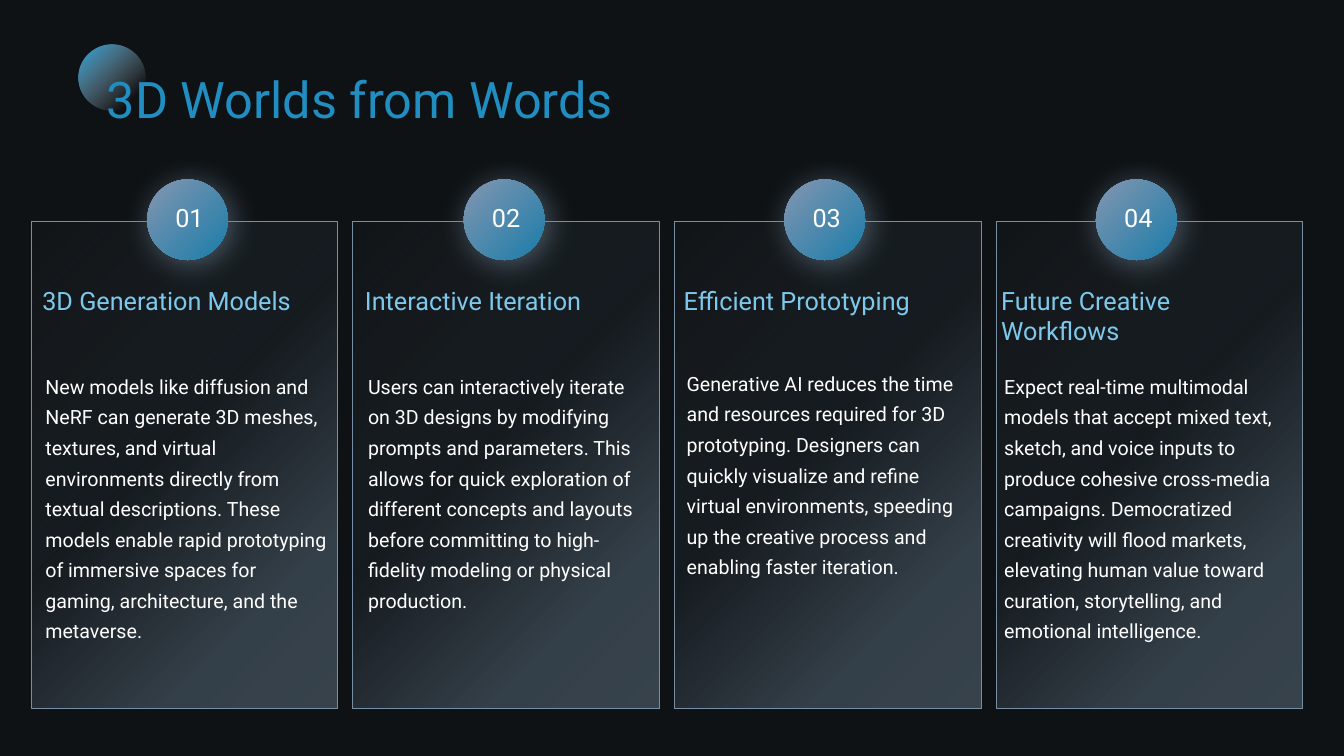
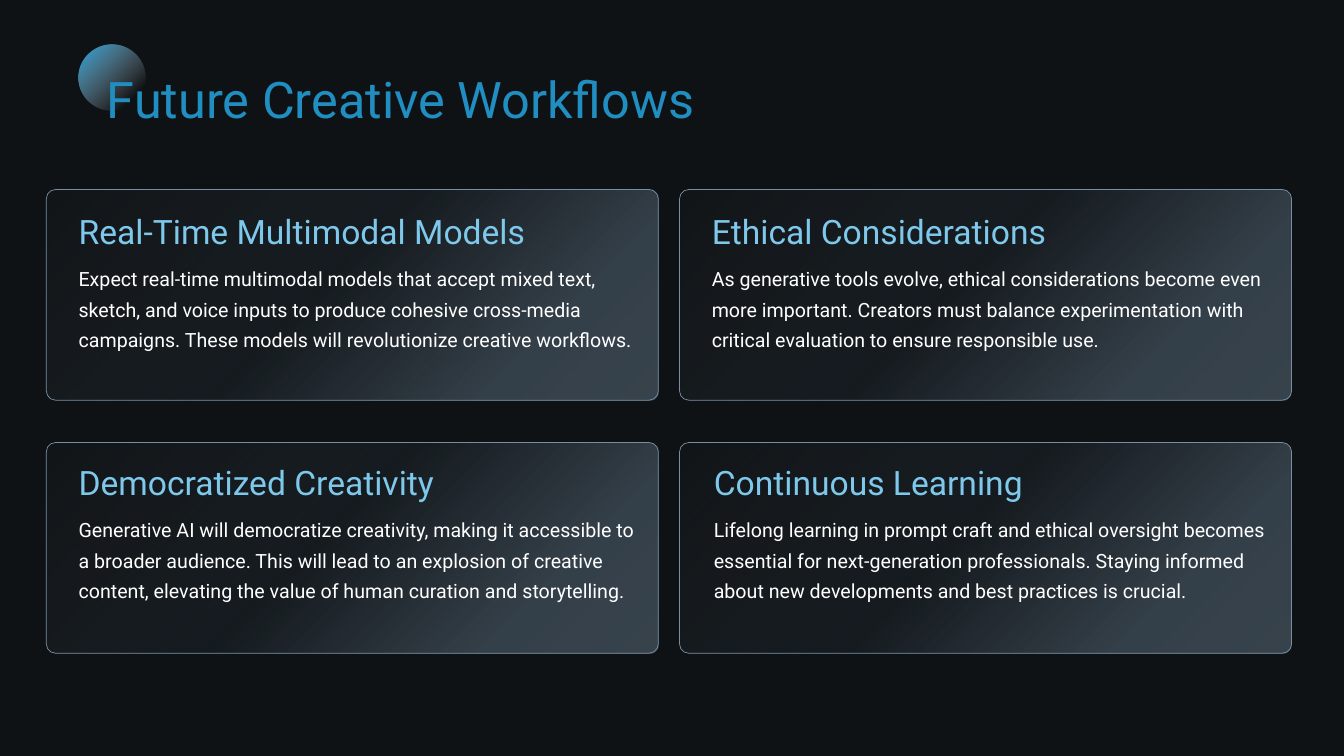
from lxml import etree
from pptx import Presentation
from pptx.dml.color import RGBColor
from pptx.enum.shapes import MSO_SHAPE as SHAPE
from pptx.enum.text import MSO_ANCHOR as ANCHOR, PP_ALIGN as ALIGN
from pptx.oxml.ns import qn
from pptx.util import Pt

PX = 9144  # 100 px to the inch
FONT = "Roboto"

BACKGROUND = RGBColor(0x0E, 0x12, 0x15)
TITLE_BLUE = RGBColor(0x21, 0x8E, 0xC1)
HEADING_BLUE = RGBColor(0x7E, 0xC9, 0xEB)
WHITE = RGBColor(0xFF, 0xFF, 0xFF)
SLATE = RGBColor(0x78, 0x8F, 0xA3)
CHARCOAL = RGBColor(0x23, 0x23, 0x22)
STEEL = RGBColor(0x84, 0x96, 0xB0)
DEEP_BLUE = RGBColor(0x1A, 0x7C, 0xAA)
SKY_BLUE = RGBColor(0x28, 0xA4, 0xDE)
MIST = RGBColor(0xC5, 0xC9, 0xCE)

# Gradient stops: position %, colour, opacity %
CARD_STOPS = [(0, SLATE, 39), (22, SLATE, 36), (54, SLATE, 7), (100, CHARCOAL, 15)]
BADGE_STOPS = [(0, STEEL, 100), (100, DEEP_BLUE, 100)]
ORB_STOPS = [(0, SKY_BLUE, 100), (81, MIST, 0), (100, MIST, 0)]

# Badge left, text left, body top, heading, body
COLUMNS = [
    (146, 42, 360, "3D Generation Models",
     "New models like diffusion and NeRF can generate 3D meshes, textures, and "
     "virtual environments directly from textual descriptions. These models enable "
     "rapid prototyping of immersive spaces for gaming, architecture, and the "
     "metaverse."),
    (460, 362, 360, "Interactive Iteration",
     "Users can interactively iterate on 3D designs by modifying prompts and "
     "parameters. This allows for quick exploration of different concepts and "
     "layouts before committing to high-fidelity modeling or physical production."),
    (778, 678, 357, "Efficient Prototyping",
     "Generative AI reduces the time and resources required for 3D prototyping. "
     "Designers can quickly visualize and refine virtual environments, speeding up "
     "the creative process and enabling faster iteration."),
    (1087, 993, 360, "Future Creative Workflows",
     "Expect real-time multimodal models that accept mixed text, sketch, and voice "
     "inputs to produce cohesive cross-media campaigns. Democratized creativity "
     "will flood markets, elevating human value toward curation, storytelling, and "
     "emotional intelligence."),
]

# Text left, heading, body; row by row
WORKFLOWS = [
    (78, "Real-Time Multimodal Models",
     "Expect real-time multimodal models that accept mixed text, sketch, and voice "
     "inputs to produce cohesive cross-media campaigns. These models will "
     "revolutionize creative workflows."),
    (706, "Ethical Considerations",
     "As generative tools evolve, ethical considerations become even more "
     "important. Creators must balance experimentation with critical evaluation to "
     "ensure responsible use."),
    (78, "Democratized Creativity",
     "Generative AI will democratize creativity, making it accessible to a broader "
     "audience. This will lead to an explosion of creative content, elevating the "
     "value of human curation and storytelling."),
    (708, "Continuous Learning",
     "Lifelong learning in prompt craft and ethical oversight becomes essential for "
     "next-generation professionals. Staying informed about new developments and "
     "best practices is crucial."),
]


def px(*lengths):
    return [n * PX for n in lengths]


def add_color(parent, color, opacity):
    el = etree.SubElement(parent, qn("a:srgbClr"), val=str(color))
    if opacity < 100:
        etree.SubElement(el, qn("a:alpha"), val=str(opacity * 1000))


def set_gradient(sp, stops, angle):
    """Fill with a linear gradient; the angle runs clockwise in degrees."""
    sp.fill.background()
    grad = etree.Element(qn("a:gradFill"), rotWithShape="1")
    gs_list = etree.SubElement(grad, qn("a:gsLst"))
    for position, color, opacity in stops:
        gs = etree.SubElement(gs_list, qn("a:gs"), pos=str(position * 1000))
        add_color(gs, color, opacity)
    etree.SubElement(grad, qn("a:lin"), ang=str(angle * 60000), scaled="0")
    sp_pr = sp.element.spPr
    sp_pr.replace(sp_pr.find(qn("a:noFill")), grad)


def add_glow_shadow(sp):
    effects = sp.element.spPr.find(qn("a:effectLst"))
    shadow = etree.SubElement(
        effects, qn("a:outerShdw"), blurRad=str(Pt(22.9)), dist=str(Pt(4)),
        dir=str(45 * 60000), algn="tl", rotWithShape="0")
    add_color(shadow, SLATE, 60)


def add_gradient_shape(slide, kind, box, stops, angle):
    sp = slide.shapes.add_shape(kind, *px(*box))
    sp.shadow.inherit = False
    sp.line.fill.background()
    set_gradient(sp, stops, angle)
    return sp


def add_card(slide, kind, box):
    sp = add_gradient_shape(slide, kind, box, CARD_STOPS, 225)
    sp.line.color.rgb = SLATE
    sp.line.width = Pt(0.5)
    return sp


def write_text(tf, text, size, color, spacing=None, insets=(0, 0, 0, 0)):
    tf.margin_left, tf.margin_top, tf.margin_right, tf.margin_bottom = px(*insets)
    tf.text = text
    p = tf.paragraphs[0]
    if spacing:
        p.line_spacing = spacing
    font = p.runs[0].font
    font.name, font.size = FONT, Pt(size)
    font.color.rgb = color
    return p


def add_text(slide, box, text, size, color, spacing=None, inset=0):
    tf = slide.shapes.add_textbox(*px(*box)).text_frame
    tf.word_wrap = True
    write_text(tf, text, size, color, spacing, (inset,) * 4)


def add_badge(slide, left, number):
    sp = add_gradient_shape(slide, SHAPE.OVAL, (left, 178, 80, 80), BADGE_STOPS, 45)
    add_glow_shadow(sp)
    tf = sp.text_frame
    tf.word_wrap = False
    tf.vertical_anchor = ANCHOR.MIDDLE
    p = write_text(tf, f"{number:02}", 18, WHITE, insets=(4, 0, 0, 5))
    p.alignment = ALIGN.CENTER


def add_titled_slide(prs, title):
    slide = prs.slides.add_slide(prs.slide_layouts[6])
    add_gradient_shape(slide, SHAPE.OVAL, (78, 44, 66, 66), ORB_STOPS, 45)
    add_text(slide, (106, 56, 1151, 72), title, 36, TITLE_BLUE, 1.2)
    return slide


def add_columns_slide(prs):
    slide = add_titled_slide(prs, "3D Worlds from Words")
    for i, (badge_left, left, body_top, heading, body) in enumerate(COLUMNS):
        add_card(slide, SHAPE.RECTANGLE, (31 + 319 * i, 220, 304, 483))
        add_badge(slide, badge_left, i + 1)
        add_text(slide, (left, 283, 285, 65), heading, 18, HEADING_BLUE)
        add_text(slide, (left - 2, body_top, 291, 313), body, 14, WHITE, 1.3, inset=5)


def add_workflows_slide(prs):
    slide = add_titled_slide(prs, "Future Creative Workflows")
    for i, (left, heading, body) in enumerate(WORKFLOWS):
        row, col = divmod(i, 2)
        card = add_card(slide, SHAPE.ROUNDED_RECTANGLE,
                        (46 + 628 * col, 188 + 251 * row, 607, 209))
        card.adjustments[0] = 0.044
        top = 209 + 249 * row
        add_text(slide, (left, top, 556, 40), heading, 24, HEADING_BLUE)
        add_text(slide, (left, top + 49, 557, 125), body, 14, WHITE, 1.3)


def main():
    prs = Presentation()
    prs.slide_width, prs.slide_height = px(1333, 750)
    fill = prs.slide_master.background.fill
    fill.solid()
    fill.fore_color.rgb = BACKGROUND
    add_columns_slide(prs)
    add_workflows_slide(prs)
    prs.save("out.pptx")


if __name__ == "__main__":
    main()
